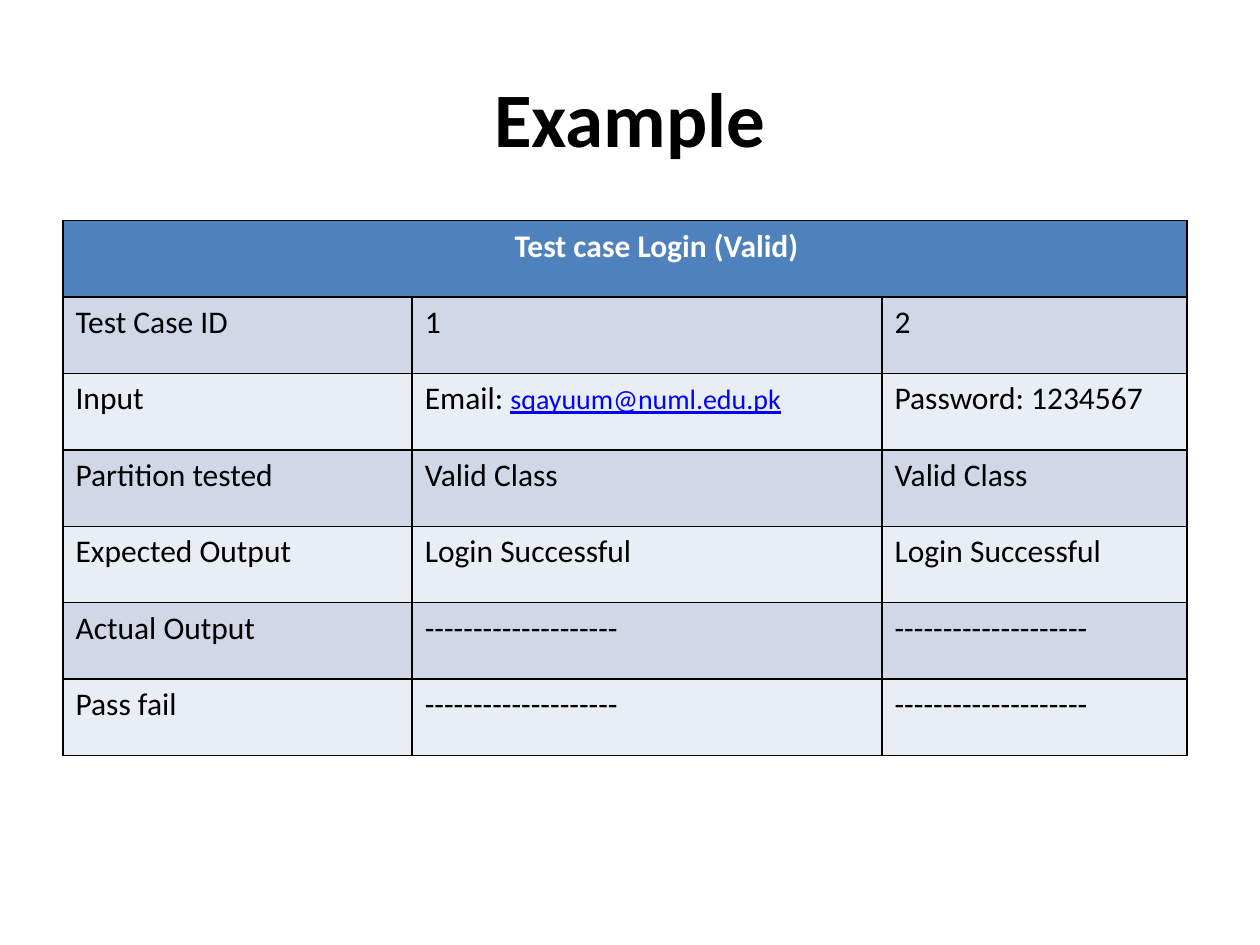
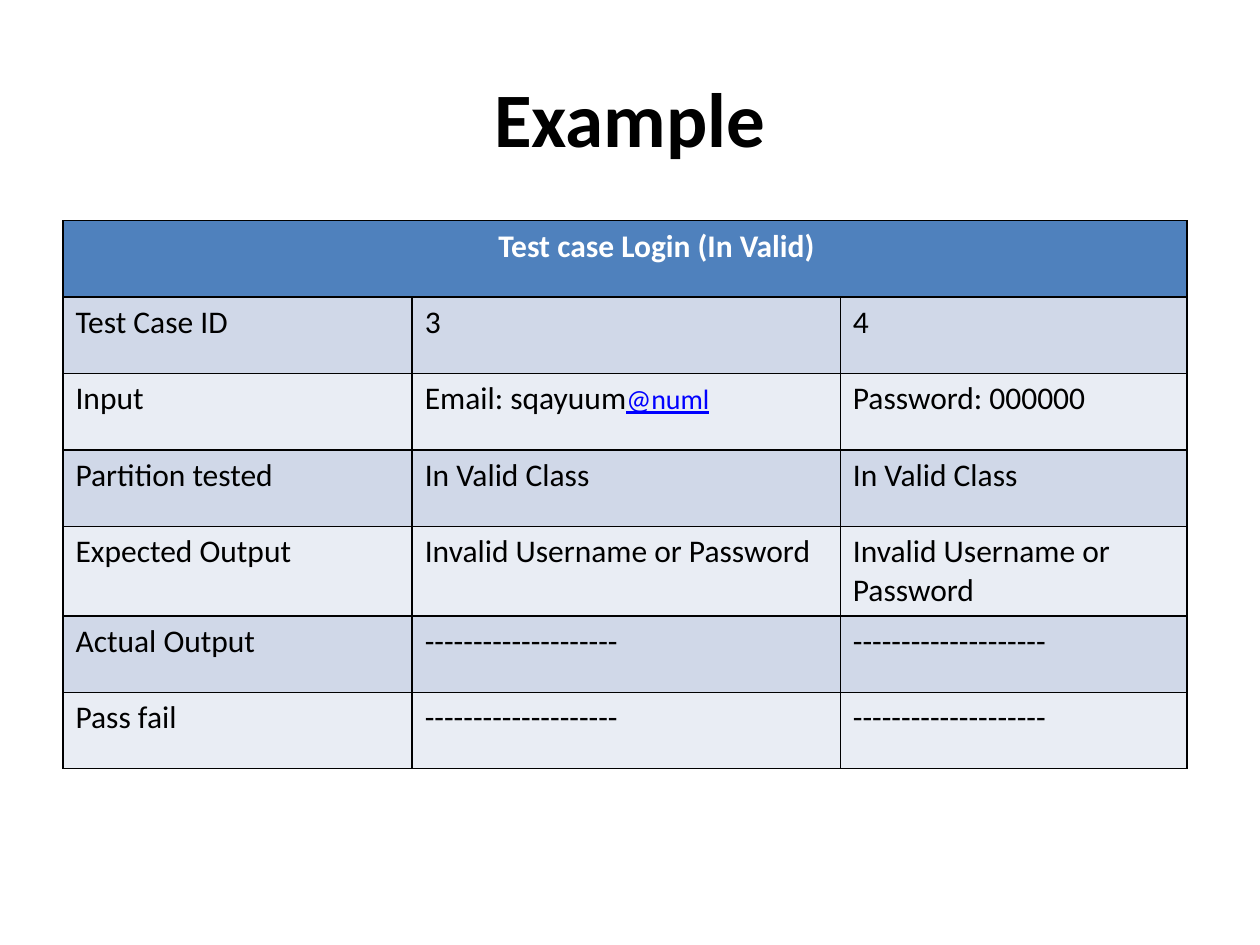
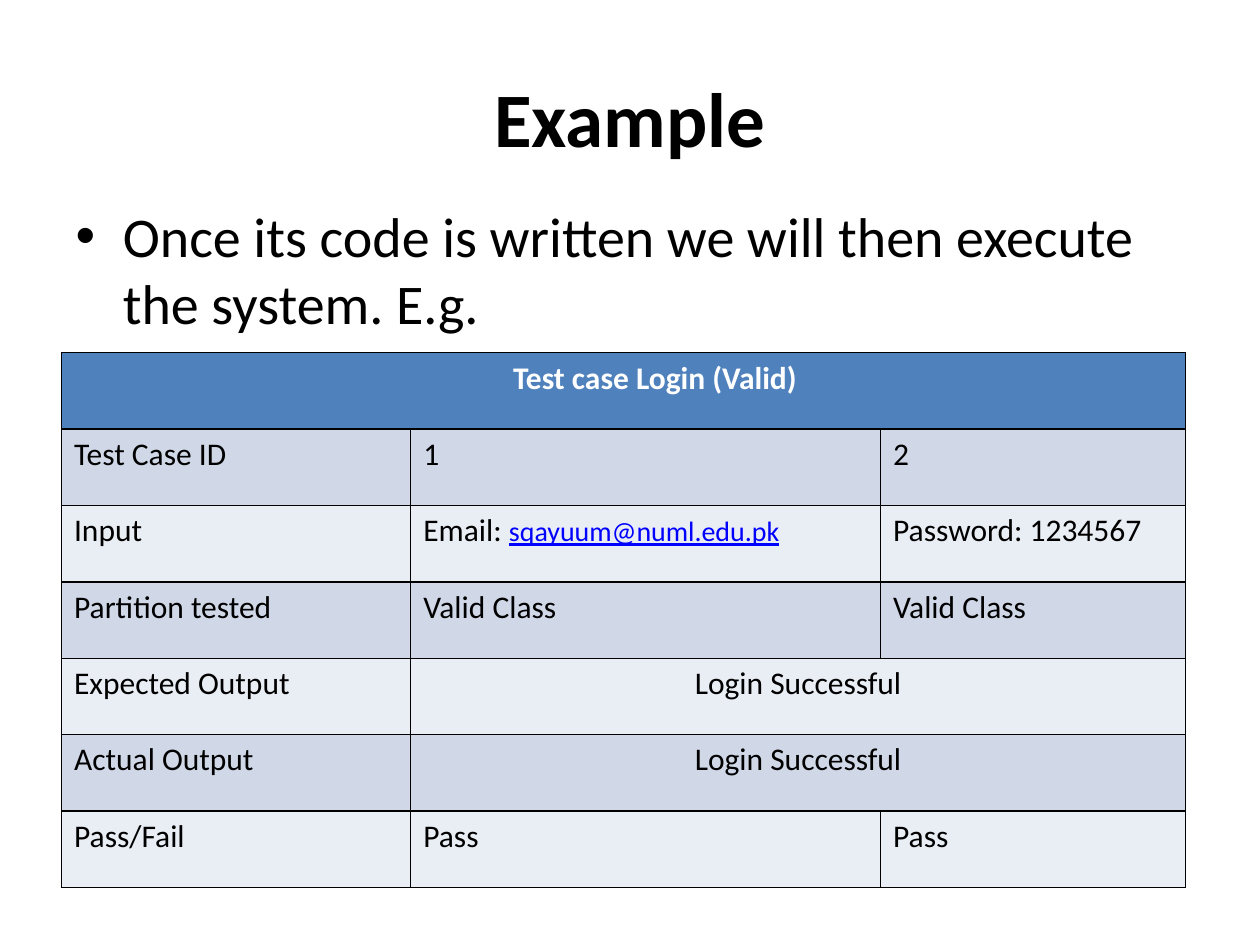
from lxml.etree import SubElement as Sub
from pptx import Presentation
from pptx.dml.color import RGBColor as RGB
from pptx.enum.text import PP_ALIGN as Align
from pptx.oxml.ns import qn
from pptx.util import Cm, Pt

HUES = {"head": "4F81BD", "dark": "D0D8E8", "light": "E9EDF4",
        "text": "000000", "white": "FFFFFF", "link": "0000FF"}
FACE = "Calibri"
DASH = "-" * 20
ROW = 1.54
MAIL = "Email: |sqayuum@numl.edu.pk"
CODE = "Password: 1234567"
DONE = "Login Successful"
FAIL = "Invalid Username or Password"
WIDE = (7.04, 9.47, 6.15)

SLIDES = [
    {"left": 1.27, "top": 4.45, "cols": WIDE, "rows": [
        ["Test case Login (Valid)"],
        ["Test Case ID", "1", "2"],
        ["Input", MAIL, CODE],
        ["Partition tested", "Valid Class", "Valid Class"],
        ["Expected Output", DONE, DONE],
        ["Actual Output", DASH, DASH],
        ["Pass fail", DASH, DASH]]},
    {"left": 1.27, "top": 4.45, "cols": (7.04, 8.63, 6.99), "rows": [
        ["Test case Login (In Valid)"],
        ["Test Case ID", "3", "4"],
        ["Input", "Email: sqayuum|@numl", "Password: 000000"],
        ["Partition tested", "In Valid Class", "In Valid Class"],
        ["Expected Output", FAIL, FAIL],
        ["Actual Output", DASH, DASH],
        ["Pass fail", DASH, DASH]]},
    {"left": 1.24, "top": 7.11, "cols": WIDE,
     "body": "Once its code is written we will then execute the system. E.g.",
     "rows": [
        ["Test case Login (Valid)"],
        ["Test Case ID", "1", "2"],
        ["Input", MAIL, CODE],
        ["Partition tested", "Valid Class", "Valid Class"],
        ["Expected Output", DONE],
        ["Actual Output", DONE],
        ["Pass/Fail", "Pass", "Pass"]]},
]


def style(font, size, hue="text", bold=False):
    font.name = FACE
    font.size = Pt(size)
    font.bold = bold
    font.color.rgb = RGB.from_string(HUES[hue])


def paint(cell, hue):
    props = cell._tc.get_or_add_tcPr()
    for side in ("lnL", "lnR", "lnT", "lnB"):
        line = Sub(props, qn(f"a:{side}"), w=str(Pt(1)))
        fill = Sub(line, qn("a:solidFill"))
        Sub(fill, qn("a:srgbClr"), val=HUES["text"])
    cell.fill.solid()
    cell.fill.fore_color.rgb = RGB.from_string(HUES[hue])


deck = Presentation()
deck.slide_width, deck.slide_height = Cm(25.4), Cm(19.05)

for page in SLIDES:
    body = page.get("body")
    slide = deck.slides.add_slide(deck.slide_layouts[1 if body else 5])
    title = slide.shapes.title
    title.left, title.top, title.width, title.height = Cm(1.27), Cm(0.76), Cm(22.86), Cm(3.18)
    title.text_frame.text = "Example"
    style(title.text_frame.paragraphs[0].font, 44, bold=True)

    if body:
        box = slide.placeholders[1]
        box.left, box.top, box.width, box.height = Cm(1.27), Cm(3.94), Cm(22.86), Cm(12.57)
        box.text_frame.text = body
        style(box.text_frame.paragraphs[0].font, 32)

    rows, cols = page["rows"], page["cols"]
    grid = slide.shapes.add_table(
        len(rows), len(cols), Cm(page["left"]), Cm(page["top"]),
        Cm(sum(cols)), Cm(ROW * len(rows))).table
    for col, width in zip(grid.columns, cols):
        col.width = Cm(width)

    for i, row in enumerate(rows):
        grid.rows[i].height = Cm(ROW)
        hue = "head" if i == 0 else "dark" if i % 2 else "light"
        for j in range(len(cols)):
            paint(grid.cell(i, j), hue)
        last = len(row) - 1
        if len(row) < len(cols):
            grid.cell(i, last).merge(grid.cell(i, len(cols) - 1))
        for j, text in enumerate(row):
            para = grid.cell(i, j).text_frame.paragraphs[0]
            if len(row) < len(cols) and j == last:
                para.alignment = Align.CENTER
            if i == 0:
                para._p.get_or_add_pPr().set("marL", str(Cm(1.27)))
            style(para.font, 18, "text" if i else "white", i == 0)
            plain, _, link = text.partition("|")
            para.add_run().text = plain
            if link:
                run = para.add_run()
                run.text = link
                style(run.font, 16, "link")
                run.font.underline = True

deck.save("out.pptx")
